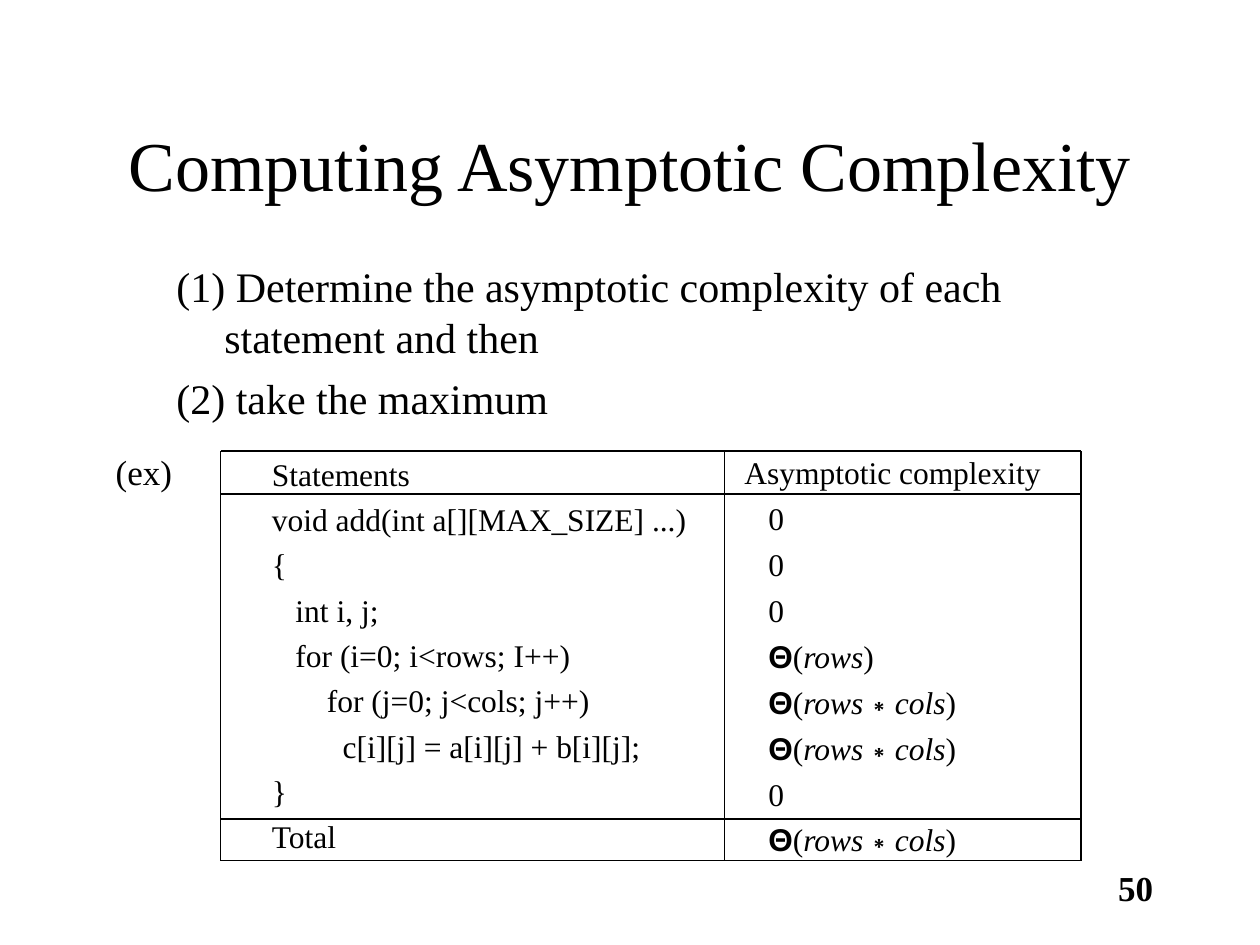
"""Build a slide that works out the asymptotic complexity of matrix addition."""
from dataclasses import dataclass

from lxml.etree import SubElement
from pptx import Presentation
from pptx.dml.color import RGBColor
from pptx.enum.shapes import MSO_CONNECTOR as Connector
from pptx.enum.text import MSO_ANCHOR as Anchor, MSO_AUTO_SIZE as AutoSize, PP_ALIGN as Align
from pptx.oxml.ns import qn
from pptx.util import Inches, Pt


@dataclass(frozen=True)
class Theme:
    ink: RGBColor = RGBColor(0, 0, 0)
    text_font: str = "Times New Roman"
    symbol_font: str = "Arial"
    title: int = 40
    body: int = 24
    label: int = 20
    table: int = 18
    rule: int = 1


theme = Theme()


def place(shape, left, top, width, height, wrap=True):
    shape.left, shape.top = Inches(left), Inches(top)
    shape.width, shape.height = Inches(width), Inches(height)
    frame = shape.text_frame
    frame.word_wrap = wrap
    frame.auto_size = AutoSize.NONE
    return frame


def style(paragraph, size, margin=0, indent=0, align=Align.LEFT, spacing=1.0, before=0):
    properties = paragraph._p.get_or_add_pPr()
    properties.set("marL", str(Inches(margin)))
    properties.set("indent", str(Inches(indent)))
    SubElement(properties, qn("a:buNone"))
    paragraph.alignment = align
    paragraph.line_spacing = spacing
    paragraph.space_before = Pt(before)
    paragraph.font.name = theme.text_font
    paragraph.font.size = Pt(size)
    paragraph.font.color.rgb = theme.ink


deck = Presentation()
deck.slide_width, deck.slide_height = Inches(10), Inches(7.5)
slide = deck.slides.add_slide(deck.slide_layouts[1])
shapes = slide.shapes

page_number = place(shapes.add_textbox(0, 0, 0, 0), 7.17, 6.83, 2.08, 0.5)
page_number.text = "50"
style(page_number.paragraphs[0], theme.label, align=Align.RIGHT)
page_number.paragraphs[0].font.bold = True

title = place(shapes.title, 0.75, 0.67, 8.5, 1.25)
title.vertical_anchor = Anchor.MIDDLE
title.text = "Computing Asymptotic Complexity"
style(title.paragraphs[0], theme.title, align=Align.CENTER)

steps = place(slide.placeholders[1], 1.3, 2.02, 7.83, 4.5)
steps.text = (
    "(1) Determine the asymptotic complexity of each statement and then\n"
    "(2) take the maximum"
)
for number, step in enumerate(steps.paragraphs):
    style(step, theme.body, 0.38, -0.38, before=6 if number else 0)

statements = place(shapes.add_textbox(0, 0, 0, 0), 2.06, 3.5, 3.6, 3.42)
statements.text = """Statements
void add(int a[][MAX_SIZE] ...)
{
   int i, j;
   for (i=0; i<rows; I++)
       for (j=0; j<cols; j++)
         c[i][j] = a[i][j] + b[i][j];
}
Total"""
for statement in statements.paragraphs:
    style(statement, theme.table, 0.31, -0.31, spacing=1.2)

costs = place(shapes.add_textbox(0, 0, 0, 0), 5.81, 3.58, 3.6, 3.42)
linear = ["Θ", "(", "rows", ")"]
product = ["Θ", "(", "rows", "∗", "cols", ")"]
cost_lines = [["Asymptotic complexity"], ["0"], ["0"], ["0"], linear, product, product, ["0"], product]
for number, parts in enumerate(cost_lines):
    cost = costs.add_paragraph() if number else costs.paragraphs[0]
    style(cost, theme.table, margin=0.19 if number else 0, spacing=0.9, before=6.8 if number else 0)
    for part in parts:
        term = cost.add_run()
        term.text = part
        if part in ("Θ", "∗"):
            term.font.name = theme.symbol_font
            term.font.bold = part == "Θ"
        elif part in ("rows", "cols"):
            term.font.italic = True

left, divider, right = 1.75, 5.75, 8.58
top, header_bottom, total_top, bottom = 3.58, 3.92, 6.5, 6.83
rules = [(left, y, right, y) for y in (top, header_bottom, total_top, bottom)]
rules += [(x, top, x, bottom) for x in (left, divider, right)]
for ends in rules:
    rule = shapes.add_connector(Connector.STRAIGHT, *map(Inches, ends))
    rule.line.color.rgb = theme.ink
    rule.line.width = Pt(theme.rule)
    SubElement(rule._element.spPr, qn("a:effectLst"))

example = place(shapes.add_textbox(0, 0, 0, 0), 0.82, 3.53, 0.65, 0.43, wrap=False)
example.auto_size = AutoSize.SHAPE_TO_FIT_TEXT
example.text = "(ex)"
style(example.paragraphs[0], theme.label)

deck.save("out.pptx")
